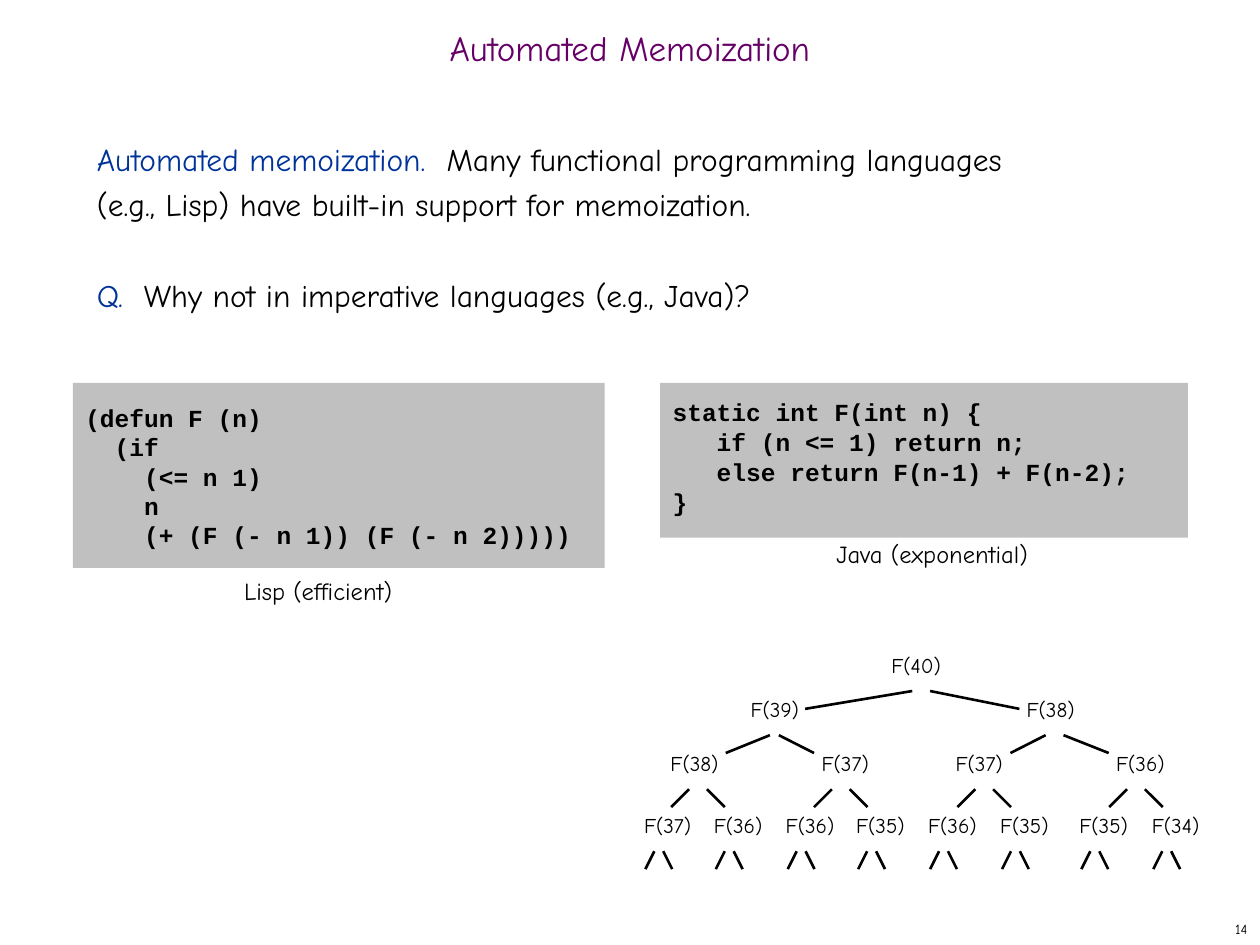
import pptx
import pptx.util
import pptx.dml.color
import pptx.enum.shapes
import pptx.enum.text
from lxml import etree

Cm, Pt = pptx.util.Cm, pptx.util.Pt
ALIGN = pptx.enum.text.PP_ALIGN
ANCHOR = pptx.enum.text.MSO_ANCHOR

TEXT_FONT, CODE_FONT = "Comic Neue", "Courier New"
PURPLE, BLUE, BLACK, GRAY = "660066", "003399", "000000", "C0C0C0"

TITLE = "Automated Memoization"
BODY = [
    [("Automated memoization.  ", BLUE),
     ("Many functional programming languages\v"
      "(e.g., Lisp) have built-in support for memoization.", BLACK)],
    [("Q.", BLUE), ("  Why not in imperative languages (e.g., Java)?", BLACK)],
]
JAVA = ["static int F(int n) {",
        "   if (n <= 1) return n;",
        "   else return F(n-1) + F(n-2);",
        "}"]
LISP = ["(defun F (n)",
        "  (if",
        "    (<= n 1)",
        "    n",
        "    (+ (F (- n 1)) (F (- n 2)))))"]

# code lines, box in cm, top inset in cm, line pitch in points
CODE_BOXES = [(JAVA, (13.31, 7.72, 10.64, 3.12), 0.27, 17.2),
              (LISP, (1.47, 7.72, 10.72, 3.73), 0.4, 16.8)]
# text, box in cm
CAPTIONS = [("Lisp (efficient)", (4.67, 11.48, 3.51, 0.84)),
            ("Java (exponential)", (16.61, 10.74, 4.39, 0.84))]


def fork(middle, inner, outer):
    """Start and end x of the left and right branch of an even fork."""
    return (middle - inner, middle - outer), (middle + inner, middle + outer)


# Call tree: top of each level, then label centre and fork of each call (cm)
ROOT = 40
LEVELS = [
    (13.03, [(18.47, ((18.39, 16.23), (18.75, 20.55)))]),
    (13.92, [(15.62, ((15.52, 14.63), (15.7, 16.41))),
             (21.18, ((21.08, 20.37), (21.44, 22.35)))]),
    (15.01, [(x, fork(middle, 0.18, 0.54)) for x, middle in
             [(14, 14.07), (17.04, 16.95), (19.74, 19.84), (22.99, 22.9)]]),
    (16.26, [(x, fork(x - 0.18, 0.09, 0.27)) for x in
             (13.46, 14.88, 16.33, 17.75, 19.2, 20.65, 22.25, 23.7)]),
]
LABEL_W, LABEL_H = 1.62, 0.76
FORK_DROP, FORK_H = 0.9, 0.36


def rgb(color):
    return pptx.dml.color.RGBColor.from_string(color)


def place(sp, box):
    sp.left, sp.top, sp.width, sp.height = map(Cm, box)


def write(tf, paragraphs, size=14, color=BLACK, font=TEXT_FONT, bold=False,
          align=ALIGN.LEFT, anchor=ANCHOR.TOP, wrap=True, spacing=None, gap=0):
    """Fill tf; a paragraph is a string or a list of (text, colour) runs."""
    tf.word_wrap, tf.vertical_anchor = wrap, anchor
    tf.auto_size = pptx.enum.text.MSO_AUTO_SIZE.NONE
    for i, runs in enumerate(paragraphs):
        p = tf.add_paragraph() if i else tf.paragraphs[0]
        p.alignment, p.line_spacing = align, spacing
        p.space_before, p.space_after = Pt(gap if i else 0), Pt(0)
        for text, run_color in [(runs, color)] if isinstance(runs, str) else runs:
            for j, line in enumerate(text.split("\v")):
                if j:
                    p.add_line_break()
                r = p.add_run()
                r.text = line
                r.font.name, r.font.size, r.font.bold = font, Pt(size), bold
                r.font.color.rgb = rgb(run_color)


def add_text(shapes, text, box, **style):
    sp = shapes.add_textbox(*map(Cm, box))
    write(sp.text_frame, [text], **style)


def add_branch(shapes, x1, y1, x2, y2):
    line = shapes.add_connector(pptx.enum.shapes.MSO_CONNECTOR.STRAIGHT,
                                Cm(x1), Cm(y1), Cm(x2), Cm(y2))
    line.line.color.rgb, line.line.width = rgb(BLACK), Pt(1.5)
    etree.SubElement(line._element.spPr, pptx.oxml.ns.qn("a:effectLst"))


def add_code(shapes, lines, box, inset, pitch):
    sp = shapes.add_shape(pptx.enum.shapes.MSO_SHAPE.RECTANGLE, *map(Cm, box))
    sp.shadow.inherit = False
    sp.fill.solid()
    sp.fill.fore_color.rgb = rgb(GRAY)
    sp.line.fill.background()
    sp.text_frame.margin_top = Cm(inset)
    write(sp.text_frame, lines, font=CODE_FONT, bold=True, spacing=Pt(pitch))


def add_call_tree(shapes):
    calls = [ROOT]
    for top, nodes in LEVELS:
        for n, (x, branches) in zip(calls, nodes):
            add_text(shapes, f"F({n})", (x - LABEL_W / 2, top, LABEL_W, LABEL_H),
                     size=12, align=ALIGN.CENTER)
            for start, end in branches:
                y = top + FORK_DROP
                add_branch(shapes, start, y, end, y + FORK_H)
        calls = [m for n in calls for m in (n - 1, n - 2)]


def main():
    prs = pptx.Presentation()
    prs.slide_width, prs.slide_height = Cm(25.4), Cm(19.05)
    s = prs.slides.add_slide(prs.slide_layouts[1])

    title, body = s.placeholders
    place(title, (0, 0.43, 25.4, 1.27))
    write(title.text_frame, [TITLE], size=20, color=PURPLE,
          align=ALIGN.CENTER, anchor=ANCHOR.MIDDLE, spacing=0.7)

    place(body, (1.7, 2.54, 21.79, 15.04))
    write(body.text_frame, BODY, size=18, spacing=Pt(26), gap=26)
    for p in body.text_frame.paragraphs:
        pPr = p._p.get_or_add_pPr()
        pPr.set("marL", "0")
        pPr.set("indent", "0")
        etree.SubElement(pPr, pptx.oxml.ns.qn("a:buNone"))

    add_call_tree(s.shapes.add_group_shape().shapes)
    for code_box in CODE_BOXES:
        add_code(s.shapes, *code_box)
    for text, box in CAPTIONS:
        add_text(s.shapes, text, box, wrap=False)
    add_text(s.shapes, "14", (20.12, 18.42, 5.28, 0.63), size=8,
             align=ALIGN.RIGHT, anchor=ANCHOR.MIDDLE)

    prs.save("out.pptx")


if __name__ == "__main__":
    main()
